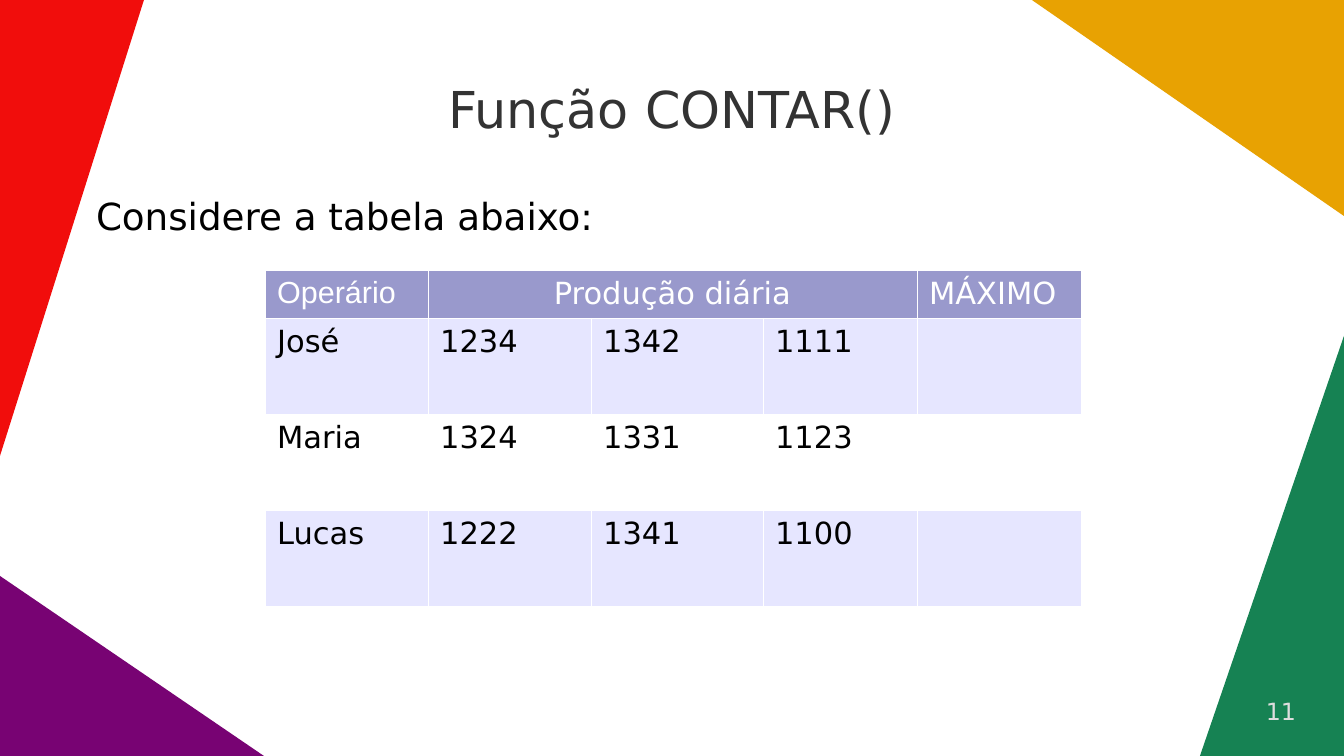
from lxml import etree
from pptx import Presentation
from pptx.dml.color import RGBColor
from pptx.enum.text import MSO_ANCHOR as ANCHOR, PP_ALIGN as ALIGN
from pptx.oxml.ns import qn
from pptx.util import Pt

PX = 914400 / 122
WIDTH, HEIGHT = 1344, 756

TITLE = "Função CONTAR()"
INTRO = "Considere a tabela abaixo:"
PAGE = "11"
HEADER = ["Operário", "Produção diária", "", "", "MÁXIMO"]
ROWS = [
    ["José", "1234", "1342", "1111", ""],
    ["Maria", "1324", "1331", "1123", ""],
    ["Lucas", "1222", "1341", "1100", ""],
    ["", "", "", "", ""],
]
COL_WIDTHS = [163, 163, 172, 154, 164]
ROW_HEIGHTS = [48, 96, 96, 96, 95]
HEADER_FILL, BAND_FILLS = "9999CC", ["E6E6FF", "FFFFFF"]
CORNERS = [
    ("780373", [(0, 576), (0, HEIGHT), (264, HEIGHT)]),
    ("F10D0C", [(0, 0), (0, 456), (144, 0)]),
    ("E8A202", [(WIDTH, 0), (1032, 0), (WIDTH, 216)]),
    ("168253", [(WIDTH, HEIGHT), (WIDTH, 336), (1200, HEIGHT)]),
]


def emu(px):
    return round(px * PX)


def rgb(color):
    return RGBColor.from_string(color)


def write(tf, text, size=18, color="000000", font="DejaVu Sans", align=ALIGN.LEFT, after=0):
    p = tf.paragraphs[0]
    p.alignment = align
    p.space_before, p.space_after = Pt(0), Pt(after)
    r = p.add_run()
    r.text = text
    r.font.size, r.font.name = Pt(size), font
    r.font.color.rgb = rgb(color)


def place(sp, left, top, width, height, anchor=ANCHOR.TOP):
    """Position a text shape and give it a wrapping frame without margins."""
    sp.left, sp.top, sp.width, sp.height = map(emu, (left, top, width, height))
    tf = sp.text_frame
    tf.margin_left = tf.margin_top = tf.margin_right = tf.margin_bottom = 0
    tf.word_wrap, tf.vertical_anchor = True, anchor
    return tf


def add_corner(slide, color, points):
    builder = slide.shapes.build_freeform(*points[0], scale=PX)
    builder.add_line_segments(points[1:], close=True)
    sp = builder.convert_to_shape()
    sp.shadow.inherit = False
    sp.fill.solid()
    sp.fill.fore_color.rgb = rgb(color)
    sp.line.fill.background()


def style_cell(cell, fill):
    """Thin white borders come first, since the schema puts them before the fill."""
    tc_pr = cell._tc.get_or_add_tcPr()
    for side in "LRTB":
        ln = etree.SubElement(tc_pr, qn(f"a:ln{side}"), w="762")
        solid = etree.SubElement(ln, qn("a:solidFill"))
        etree.SubElement(solid, qn("a:srgbClr"), val="FFFFFF")
    cell.fill.solid()
    cell.fill.fore_color.rgb = rgb(fill)


def add_production_table(slide, left, top):
    table = slide.shapes.add_table(
        len(ROW_HEIGHTS), len(COL_WIDTHS), emu(left), emu(top),
        emu(sum(COL_WIDTHS)), emu(sum(ROW_HEIGHTS))).table
    table.first_row = table.horz_banding = False
    for col, width in zip(table.columns, COL_WIDTHS):
        col.width = emu(width)
    for row, height in zip(table.rows, ROW_HEIGHTS):
        row.height = emu(height)
    table.cell(0, 1).merge(table.cell(0, 3))
    for i, texts in enumerate([HEADER] + ROWS):
        for j, text in enumerate(texts):
            cell = table.cell(i, j)
            style_cell(cell, BAND_FILLS[(i - 1) % 2] if i else HEADER_FILL)
            if text:
                write(cell.text_frame, text,
                      color="000000" if i else "FFFFFF",
                      font="Arial" if (i, j) == (0, 0) else "DejaVu Sans",
                      align=ALIGN.CENTER if cell.is_merge_origin else ALIGN.LEFT)


def main():
    prs = Presentation()
    prs.slide_width, prs.slide_height = emu(WIDTH), emu(HEIGHT)
    slide = prs.slides.add_slide(prs.slide_layouts[1])
    for color, points in CORNERS:
        add_corner(slide, color, points)

    title, body = slide.shapes.title, slide.placeholders[1]
    for sp in (title, body):
        slide.shapes.element.append(sp.element)  # in front of the corners
    write(place(title, 96, 48, 1152, 120, ANCHOR.MIDDLE), TITLE,
          size=30, color="333333", align=ALIGN.CENTER)
    tf = place(body, 96, 193, 1152, 480)
    write(tf, INTRO, size=22, after=10.6)
    p_pr = tf.paragraphs[0]._p.get_or_add_pPr()
    p_pr.set("marL", "0")
    p_pr.set("indent", "0")
    etree.SubElement(p_pr, qn("a:buNone"))

    add_production_table(slide, 265, 270)
    number = slide.shapes.add_textbox(0, 0, 0, 0)
    write(place(number, 984, 697, 312, 48), PAGE, size=14, color="DDDDDD", align=ALIGN.RIGHT)
    prs.save("out.pptx")


if __name__ == "__main__":
    main()
